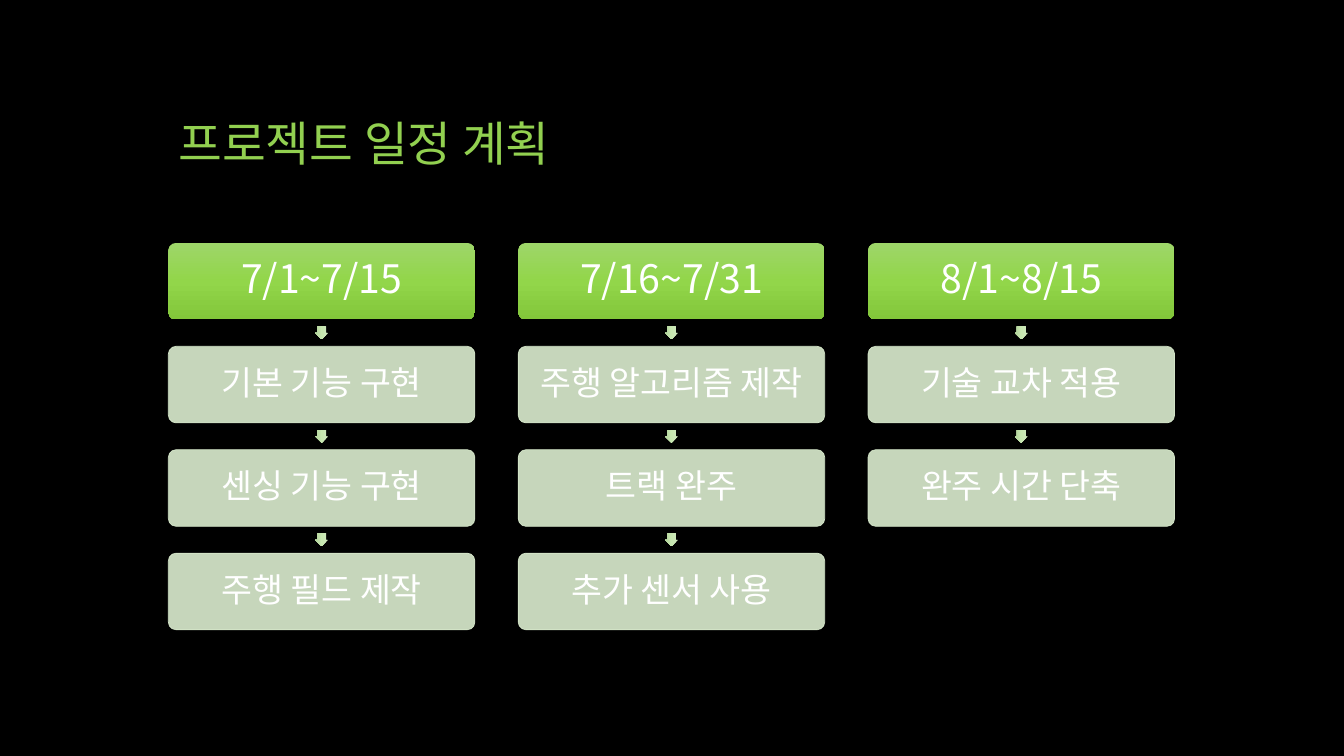
"""Build the project schedule slide: three date columns with their steps."""
from copy import deepcopy

from lxml import etree
from pptx import Presentation
from pptx.dml.color import RGBColor
from pptx.enum.shapes import MSO_SHAPE
from pptx.enum.text import MSO_ANCHOR, PP_ALIGN
from pptx.oxml.ns import qn
from pptx.util import Inches, Pt

ROUNDED = MSO_SHAPE.ROUNDED_RECTANGLE
ARROW = MSO_SHAPE.RIGHT_ARROW
LEFT, CENTER = PP_ALIGN.LEFT, PP_ALIGN.CENTER
MIDDLE, BOTTOM = MSO_ANCHOR.MIDDLE, MSO_ANCHOR.BOTTOM
FONT = "Noto Sans CJK KR"
COLORS = {"background": "000000", "title": "92D050", "text": "FFFFFF", "step": "DCEED0"}
GRADIENTS = {
    "header": ("9ED669", "92D64A", "82C63A"),
    "arrow": ("CFE9BD", "C7E7B0", "B0D199"),
}
SCHEDULE = {
    "7/1~7/15": ["기본 기능 구현", "센싱 기능 구현", "주행 필드 제작"],
    "7/16~7/31": ["주행 알고리즘 제작", "트랙 완주", "추가 센서 사용"],
    "8/1~8/15": ["기술 교차 적용", "완주 시간 단축"],
}
GRID_LEFT, GRID_TOP = 1.67, 2.41
BOX_WIDTH, BOX_HEIGHT = 3.04, 0.76
COLUMN_STEP, ROW_STEP = 3.47, BOX_HEIGHT * 1.35
ARROW_SIZE = 0.13


def write_text(shape, text, size, color="text", align=CENTER, anchor=MIDDLE, inset=None):
    """Write one formatted paragraph into a shape."""
    frame = shape.text_frame
    frame.word_wrap = True
    frame.vertical_anchor = anchor
    if inset is not None:
        frame.margin_left = frame.margin_right = Inches(inset)
        frame.margin_top = frame.margin_bottom = Inches(inset)
    paragraph = frame.paragraphs[0]
    paragraph.alignment = align
    paragraph.line_spacing = 0.9
    run = paragraph.add_run()
    run.text = text
    run.font.size = Pt(size)
    run.font.name = FONT
    run.font.color.rgb = RGBColor.from_string(COLORS[color])
    etree.SubElement(run.font._element, qn("a:ea"), typeface=FONT)


def fill_gradient(shape, name):
    """Fill a borderless shape with a three-stop vertical gradient."""
    shape.shadow.inherit = False
    shape.line.fill.background()
    shape.fill.gradient()
    shape.fill.gradient_angle = 270
    stop_list = shape._element.spPr.find(".//" + qn("a:gsLst"))
    stop_list.append(deepcopy(stop_list[0]))
    for index, stop in enumerate(shape.fill.gradient_stops):
        stop.position = index / 2
        stop.color.rgb = RGBColor.from_string(GRADIENTS[name][index])


presentation = Presentation()
presentation.slide_width = Inches(13.33)
presentation.slide_height = Inches(7.5)
slide = presentation.slides.add_slide(presentation.slide_layouts[5])
slide.background.fill.solid()
slide.background.fill.fore_color.rgb = RGBColor.from_string(COLORS["background"])

title = slide.shapes.title
title.left, title.top = Inches(GRID_LEFT), Inches(0.5)
title.width, title.height = Inches(10), Inches(1.25)
write_text(title, "프로젝트 일정 계획", 34, color="title", align=LEFT, anchor=BOTTOM)

for column, (period, steps) in enumerate(SCHEDULE.items()):
    left = GRID_LEFT + column * COLUMN_STEP
    for row, label in enumerate([period, *steps]):
        top = GRID_TOP + row * ROW_STEP
        if row > 0:
            arrow_left = left + (BOX_WIDTH - ARROW_SIZE) / 2
            arrow_top = top - (ROW_STEP - BOX_HEIGHT + ARROW_SIZE) / 2
            arrow = slide.shapes.add_shape(
                ARROW, Inches(arrow_left), Inches(arrow_top), Inches(ARROW_SIZE), Inches(ARROW_SIZE)
            )
            arrow.rotation = 90
            arrow.adjustments[0] = 0.667
            fill_gradient(arrow, "arrow")

        box = slide.shapes.add_shape(
            ROUNDED, Inches(left), Inches(top), Inches(BOX_WIDTH), Inches(BOX_HEIGHT)
        )
        box.adjustments[0] = 0.1
        if row == 0:
            fill_gradient(box, "header")
        else:
            box.shadow.inherit = False
            box.line.width = Pt(0.5)
            for fill in (box.fill, box.line.fill):
                fill.solid()
                fill.fore_color.rgb = RGBColor.from_string(COLORS["step"])
            for color in box._element.spPr.iter(qn("a:srgbClr")):
                etree.SubElement(color, qn("a:alpha"), val="90000")
        write_text(box, label, 28 if row == 0 else 24, inset=0.06)

presentation.save("out.pptx")
